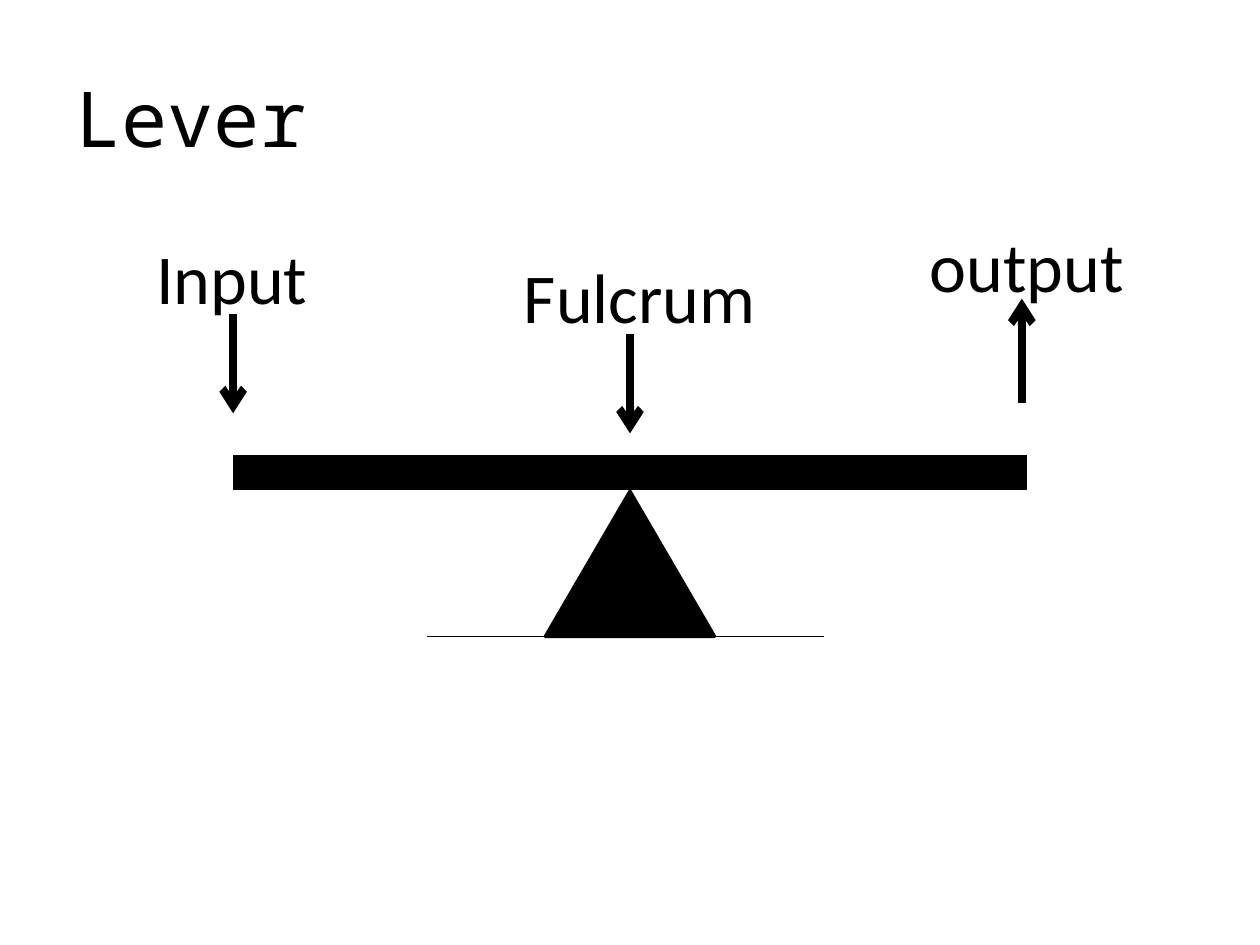
from lxml.etree import SubElement
from pptx import Presentation
from pptx.dml.color import RGBColor
from pptx.enum.shapes import MSO_CONNECTOR as CONNECTOR, MSO_SHAPE as SHAPE
from pptx.enum.text import MSO_ANCHOR as ANCHOR
from pptx.oxml.ns import qn
from pptx.util import Inches, Pt

BLACK = RGBColor(0, 0, 0)
WHITE = RGBColor(255, 255, 255)
COLS, ROWS = 100, 75
UNIT = Inches(10) / COLS  # square grid cell


def grid(*cells):
    return [round(cell * UNIT) for cell in cells]


def add_text(slide, box, words, font, size, anchor=ANCHOR.TOP, wrap=False):
    frame = slide.shapes.add_textbox(*grid(*box)).text_frame
    frame.word_wrap = wrap
    frame.vertical_anchor = anchor
    line = frame.paragraphs[0]
    line.text = words
    line.font.name, line.font.size = font, Pt(size)
    line.font.color.rgb = BLACK


def add_line(slide, start, end, weight, arrow=False):
    line = slide.shapes.add_connector(CONNECTOR.STRAIGHT, *grid(*start, *end))
    line.line.color.rgb = BLACK
    line.line.width = Pt(weight)
    properties = line._element.spPr
    if arrow:
        SubElement(properties.find(qn("a:ln")), qn("a:tailEnd"), type="arrow")
    SubElement(properties, qn("a:effectLst"))


def add_title(slide, left, top, width, height):
    add_text(slide, (left, top, width, height), "Lever", "Noto Sans Mono", 44,
             ANCHOR.MIDDLE, wrap=True)


def add_lever(slide, left, top, width, height):
    middle, ground = left + width / 2, top + height

    # Beam
    beam = top + 20.5
    add_line(slide, (left, beam), (left + width, beam), 20)

    # Fulcrum standing on the ground
    base, rise = 13.4, 11.5
    fulcrum = slide.shapes.add_shape(
        SHAPE.ISOSCELES_TRIANGLE,
        *grid(middle - base / 2, ground - rise, base, rise))
    fulcrum.shadow.inherit = False
    fulcrum.fill.solid()
    fulcrum.fill.fore_color.rgb = BLACK
    fulcrum.line.color.rgb = BLACK
    fulcrum.line.width = Pt(2)
    add_line(slide, (left + 15.4, ground), (left + 46.9, ground), 0.75)

    # Labelled arrows: words, label box, arrow column, first and last row
    forces = [
        ("Input", (-7.1, 1.15, 14.2), 0, 7.9, 15.8),
        ("Fulcrum", (22.1, 2.65, 20.5), width / 2, 9.5, 17.4),
        ("output", (54.3, 0.15, 17.6), 62.6, 15, 6.7),
    ]
    for words, (label_x, label_y, label_width), x, start, end in forces:
        add_line(slide, (left + x, top + start), (left + x, top + end), 4.5, arrow=True)
        add_text(slide, (left + label_x, top + label_y, label_width, 7.8),
                 words, "Calibri", 40)


def main():
    deck = Presentation()
    deck.slide_width, deck.slide_height = grid(COLS, ROWS)
    slide = deck.slides.add_slide(deck.slide_layouts[6])
    slide.background.fill.solid()
    slide.background.fill.fore_color.rgb = WHITE
    add_title(slide, 5, 3, 90, 12.5)
    add_lever(slide, 18.5, 17, 63, 33.5)
    deck.save("out.pptx")


if __name__ == "__main__":
    main()
